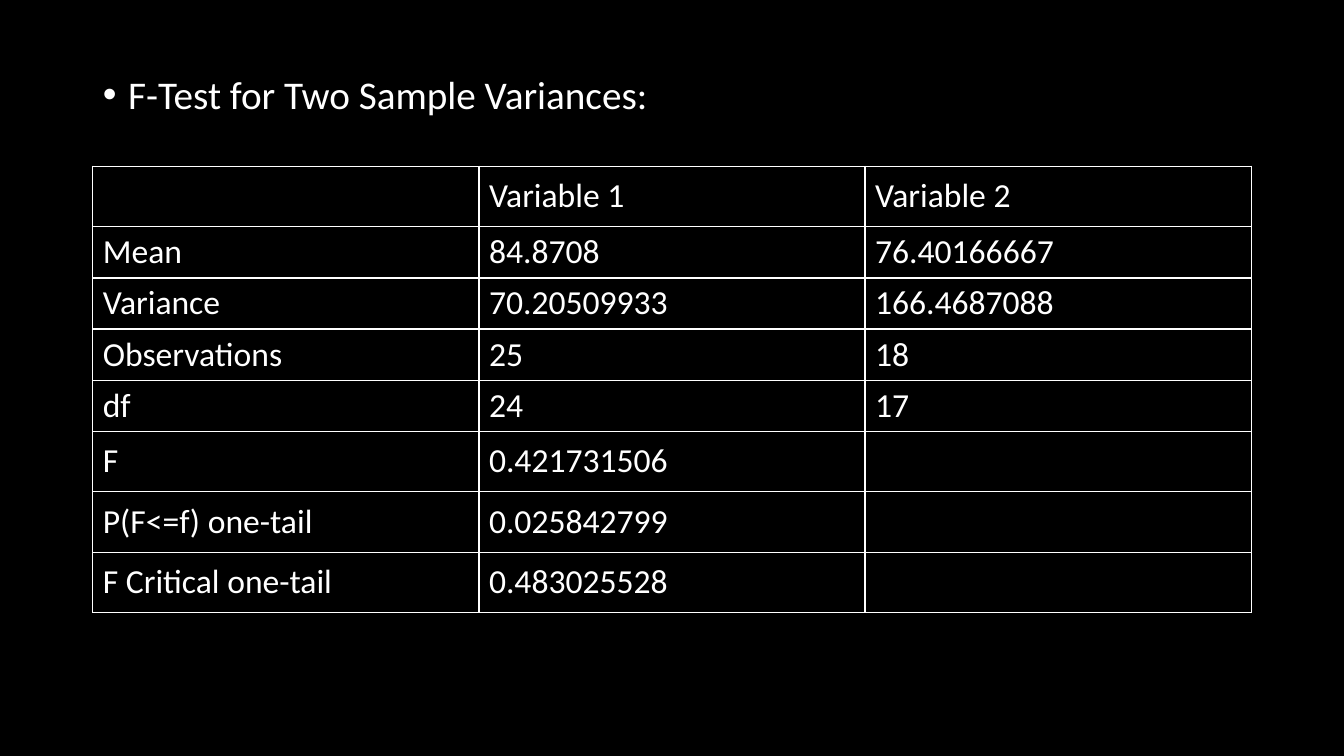
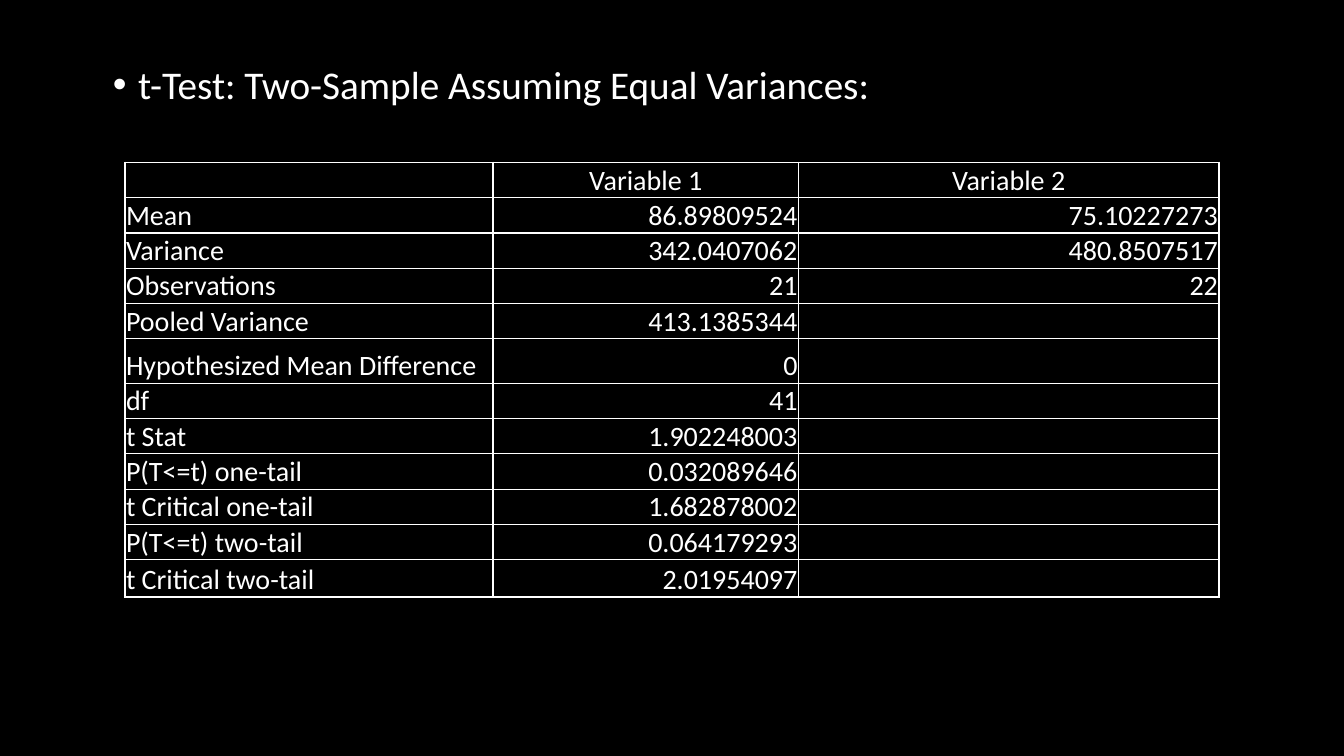
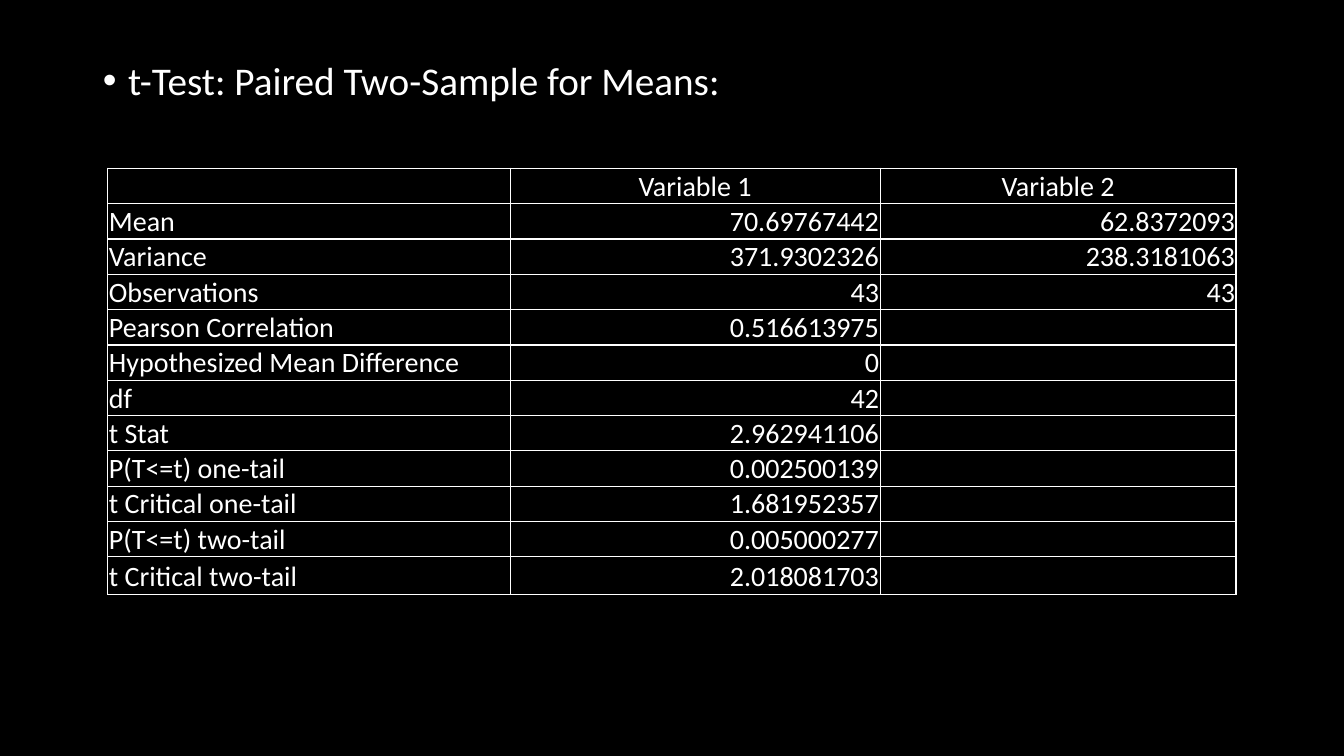
from lxml import etree
from pptx import Presentation
from pptx.dml.color import RGBColor
from pptx.enum.text import MSO_ANCHOR, MSO_AUTO_SIZE, PP_ALIGN
from pptx.oxml.ns import qn
from pptx.util import Inches, Pt

LEFT, MID, RIGHT = PP_ALIGN.LEFT, PP_ALIGN.CENTER, PP_ALIGN.RIGHT
CENTRE, BASE = MSO_ANCHOR.MIDDLE, MSO_ANCHOR.BOTTOM
TOP, FIXED = MSO_ANCHOR.TOP, MSO_AUTO_SIZE.NONE

FONT = "Calibri"
INK = "FFFFFF"
BACK = "000000"


def put(frame, text, size=20, color=INK, align=LEFT):
    """Write one paragraph into a text frame and return it."""
    para = frame.paragraphs[0]
    para.alignment = align
    run = para.add_run()
    run.text = text
    run.font.name = FONT
    run.font.size = Pt(size)
    run.font.color.rgb = RGBColor.from_string(color)
    return para


def edge(cell, color=INK, width=1):
    """Draw a line on all four sides of a table cell."""
    props = cell._tc.get_or_add_tcPr()
    for spot, side in enumerate(("a:lnL", "a:lnR", "a:lnT", "a:lnB")):
        line = etree.Element(qn(side), w=str(Pt(width)))
        fill = etree.SubElement(line, qn("a:solidFill"))
        etree.SubElement(fill, qn("a:srgbClr"), val=color)
        props.insert(spot, line)


# Slide contents: heading and table, with their places in inches
HEAD = ["", "Variable 1", "Variable 2"]
PAGES = [
    dict(
        head="F-Test for Two Sample Variances:", spot=(0.92, 0.7),
        left=0.92, top=1.65, cols=[3.83] * 3,
        rows=[0.6] + [0.45] * 4 + [0.6] * 3, size=24, tight=False,
        data=[
            HEAD,
            ["Mean", "84.8708", "76.40166667"],
            ["Variance", "70.20509933", "166.4687088"],
            ["Observations", "25", "18"],
            ["df", "24", "17"],
            ["F", "0.421731506", ""],
            ["P(F<=f) one-tail", "0.025842799", ""],
            ["F Critical one-tail", "0.483025528", ""],
        ],
    ),
    dict(
        head="t-Test: Two-Sample Assuming Equal Variances:", spot=(1.02, 0.6),
        left=1.24, top=1.61, cols=[3.65, 3.03, 4.17],
        rows=[0.35] * 5 + [0.44] + [0.35] * 5 + [0.37], size=20, tight=True,
        data=[
            HEAD,
            ["Mean", "86.89809524", "75.10227273"],
            ["Variance", "342.0407062", "480.8507517"],
            ["Observations", "21", "22"],
            ["Pooled Variance", "413.1385344", ""],
            ["Hypothesized Mean Difference", "0", ""],
            ["df", "41", ""],
            ["t Stat", "1.902248003", ""],
            ["P(T<=t) one-tail", "0.032089646", ""],
            ["t Critical one-tail", "1.682878002", ""],
            ["P(T<=t) two-tail", "0.064179293", ""],
            ["t Critical two-tail", "2.01954097", ""],
        ],
    ),
    dict(
        head="t-Test: Paired Two-Sample for Means:", spot=(0.92, 0.56),
        left=1.07, top=1.67, cols=[3.99, 3.67, 3.53],
        rows=[0.34] * 11 + [0.37], size=20, tight=True,
        data=[
            HEAD,
            ["Mean", "70.69767442", "62.8372093"],
            ["Variance", "371.9302326", "238.3181063"],
            ["Observations", "43", "43"],
            ["Pearson Correlation", "0.516613975", ""],
            ["Hypothesized Mean Difference", "0", ""],
            ["df", "42", ""],
            ["t Stat", "2.962941106", ""],
            ["P(T<=t) one-tail", "0.002500139", ""],
            ["t Critical one-tail", "1.681952357", ""],
            ["P(T<=t) two-tail", "0.005000277", ""],
            ["t Critical two-tail", "2.018081703", ""],
        ],
    ),
]

# Deck with a black background on the master
deck = Presentation()
deck.slide_width, deck.slide_height = Inches(13.33), Inches(7.5)
ground = deck.slide_master.background.fill
ground.solid()
ground.fore_color.rgb = RGBColor.from_string(BACK)

for page in PAGES:
    slide = deck.slides.add_slide(deck.slide_layouts[1])
    title = slide.shapes.title._element
    title.getparent().remove(title)

    # Bulleted heading in the body placeholder
    body = slide.placeholders[1]
    body.left, body.top = (Inches(n) for n in page["spot"])
    body.width, body.height = Inches(11.5), Inches(4.76)
    frame = body.text_frame
    frame.auto_size, frame.vertical_anchor = FIXED, TOP
    para = put(frame, page["head"], size=28)
    para.line_spacing, para.space_before = 0.9, Pt(10)
    props = para._p.get_or_add_pPr()
    props.set("marL", str(Inches(0.25)))
    props.set("indent", str(-Inches(0.25)))
    etree.SubElement(props, qn("a:buFont"), typeface="Arial")
    etree.SubElement(props, qn("a:buChar"), char="•")

    # Table grid
    cols, rows, tight = page["cols"], page["rows"], page["tight"]
    table = slide.shapes.add_table(
        len(rows), len(cols), Inches(page["left"]), Inches(page["top"]),
        Inches(sum(cols)), Inches(sum(rows))).table
    table.first_row = table.horz_banding = False
    for col, width in zip(table.columns, cols):
        col.width = Inches(width)
    for row, height in zip(table.rows, rows):
        row.height = Inches(height)

    # Table cells
    for r, line in enumerate(page["data"]):
        for c, text in enumerate(line):
            cell = table.cell(r, c)
            cell.fill.background()
            edge(cell)
            cell.vertical_anchor = BASE if tight else CENTRE
            if tight:
                cell.margin_left = cell.margin_right = Inches(0.01)
                cell.margin_top, cell.margin_bottom = Inches(0.01), 0
            align = LEFT
            if tight and c:
                align = RIGHT if r else MID
            if text:
                put(cell.text_frame, text, size=page["size"], align=align)

deck.save("out.pptx")
